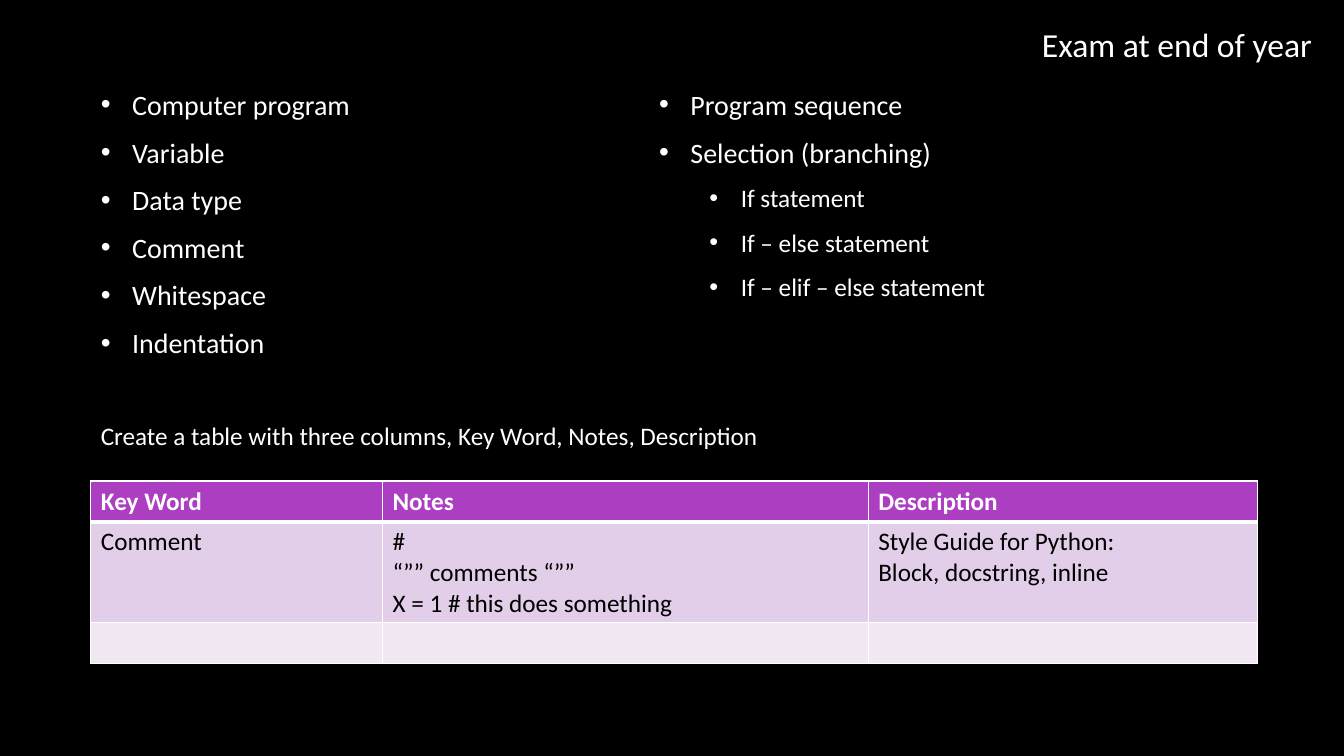
from lxml.etree import SubElement as Sub
from pptx import Presentation
from pptx.dml.color import RGBColor
from pptx.enum.text import MSO_AUTO_SIZE as Auto
from pptx.oxml.ns import qn
from pptx.util import Cm, Pt

WHITE, BLACK = "FFFFFF", "000000"


def color(item, hue):
    """Give a fill or a font its colour."""
    if hasattr(item, "solid"):
        item.solid()
        item.fore_color.rgb = RGBColor.from_string(hue)
    else:
        item.color.rgb = RGBColor.from_string(hue)


def write(frame, lines, size=18, hue=WHITE, bold=False, bullets=False):
    """Write one paragraph a line; a leading tab marks a bullet's second level."""
    for i, line in enumerate(lines):
        par = frame.add_paragraph() if i else frame.paragraphs[0]
        run = par.add_run()
        run.text = line.strip("\t")
        font = run.font
        font.name, font.size, font.bold = "Calibri", Pt(size), bold
        color(font, hue)
        if bullets:
            par.level = line.count("\t")
            font.size = Pt(size - 2 * par.level)
            par.space_after = Pt(10)
            props = par._p.get_or_add_pPr()
            props.set("marL", str(Cm(0.79 + 1.27 * par.level)))
            props.set("indent", str(Cm(-0.79)))
            Sub(Sub(props, qn("a:buClr")), qn("a:srgbClr"), val=hue)
            Sub(props, qn("a:buFont"), typeface="Arial")
            Sub(props, qn("a:buChar"), char="•")


deck = Presentation()
deck.slide_width, deck.slide_height = Cm(33.87), Cm(19.05)
slide = deck.slides.add_slide(deck.slide_layouts[6])
color(slide.background.fill, BLACK)
shapes = slide.shapes

# Topic lists
topics = [
    (2.29, ["Computer program", "Variable", "Data type", "Comment",
            "Whitespace", "Indentation"]),
    (16.36, ["Program sequence", "Selection (branching)", "\tIf statement",
             "\tIf – else statement", "\tIf – elif – else statement"]),
]
for left, lines in topics:
    box = shapes.add_textbox(Cm(left), Cm(2.08), Cm(15.04), Cm(10.13))
    box.text_frame.word_wrap = True
    write(box.text_frame, lines, size=20, bullets=True)

# Task and heading
labels = [
    (2.29, 10.46, 17.12, 1.02, 18,
     "Create a table with three columns, Key Word, Notes, Description"),
    (26.01, 0.48, 7.39, 1.27, 24, "Exam at end of year"),
]
for left, top, width, height, size, text in labels:
    box = shapes.add_textbox(Cm(left), Cm(top), Cm(width), Cm(height))
    box.text_frame.word_wrap = False
    box.text_frame.auto_size = Auto.SHAPE_TO_FIT_TEXT
    write(box.text_frame, [text], size=size)

# Key word table
widths, heights = [7.35, 12.24, 9.8], [1.03, 2.54, 1.03]
fills = ["AC3EC1", "E3CEE9", "F1E8F4"]
rows = [
    [["Key Word"], ["Notes"], ["Description"]],
    [["Comment"],
     ["#", "“”” comments “””", "X = 1 # this does something"],
     ["Style Guide for Python:", "Block, docstring, inline"]],
    [[], [], []],
]
table = shapes.add_table(3, 3, Cm(2.29), Cm(12.12),
                         Cm(sum(widths)), Cm(sum(heights))).table
for col, width in zip(table.columns, widths):
    col.width = Cm(width)
for r, row in enumerate(rows):
    table.rows[r].height = Cm(heights[r])
    for c, lines in enumerate(row):
        cell = table.cell(r, c)
        props = cell._tc.get_or_add_tcPr()
        for side in "LRTB":
            thick = (r, side) in [(0, "B"), (1, "T")]
            edge = Sub(props, qn(f"a:ln{side}"), w=str(Pt(3 if thick else 1)))
            Sub(Sub(edge, qn("a:solidFill")), qn("a:srgbClr"), val=WHITE)
        color(cell.fill, fills[r])
        write(cell.text_frame, lines, hue=BLACK if r else WHITE, bold=r == 0)

deck.save("out.pptx")
